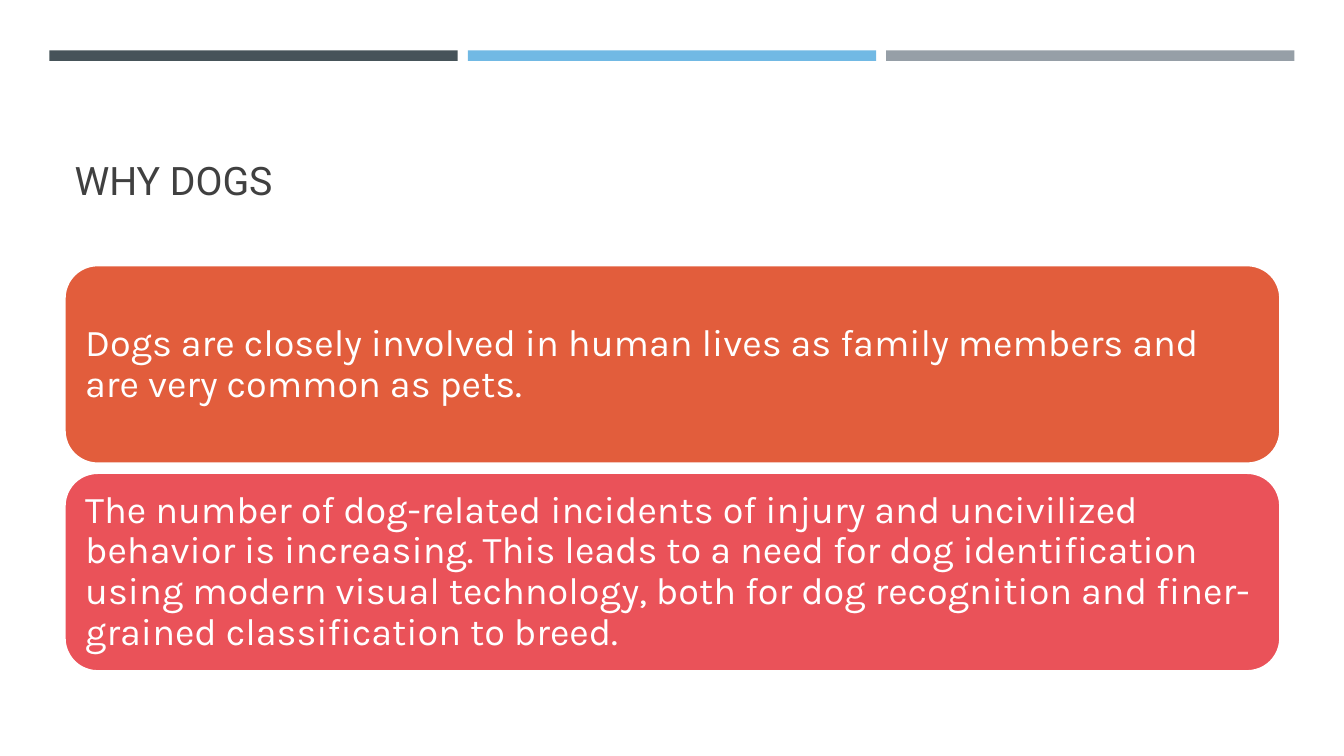
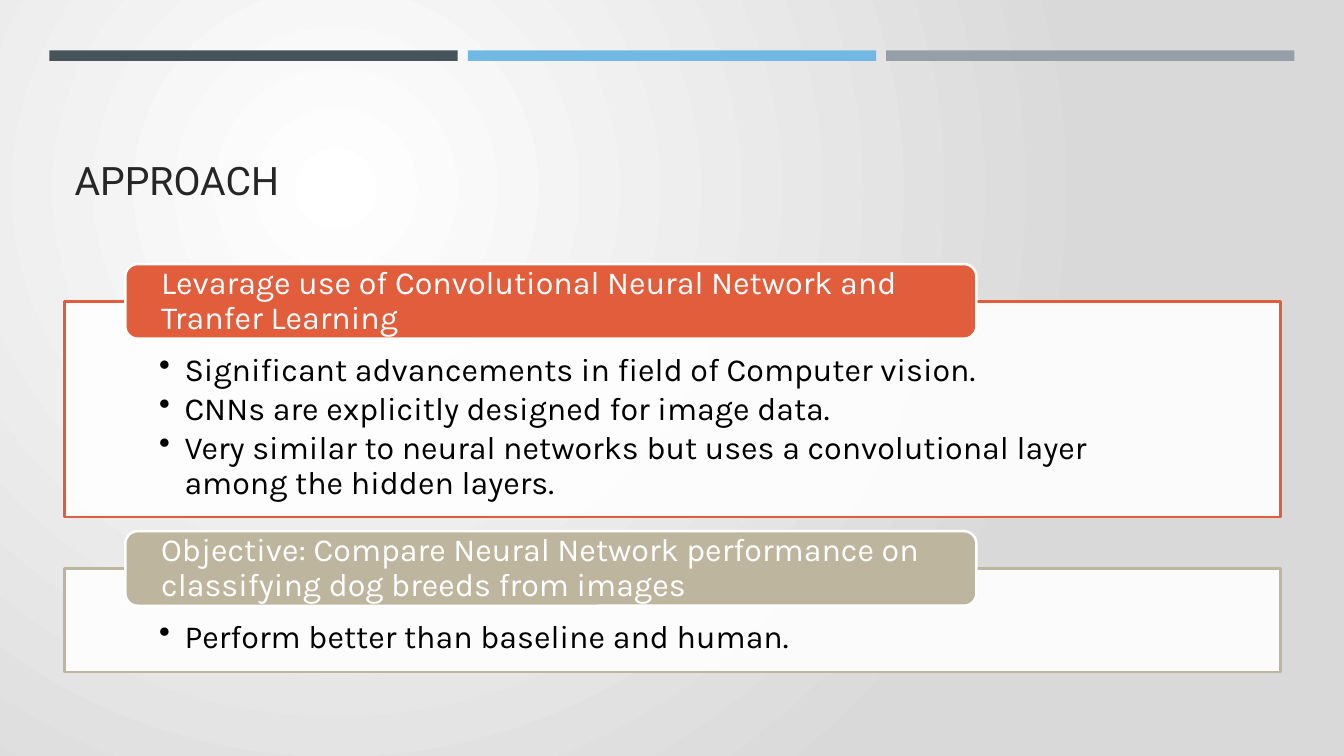
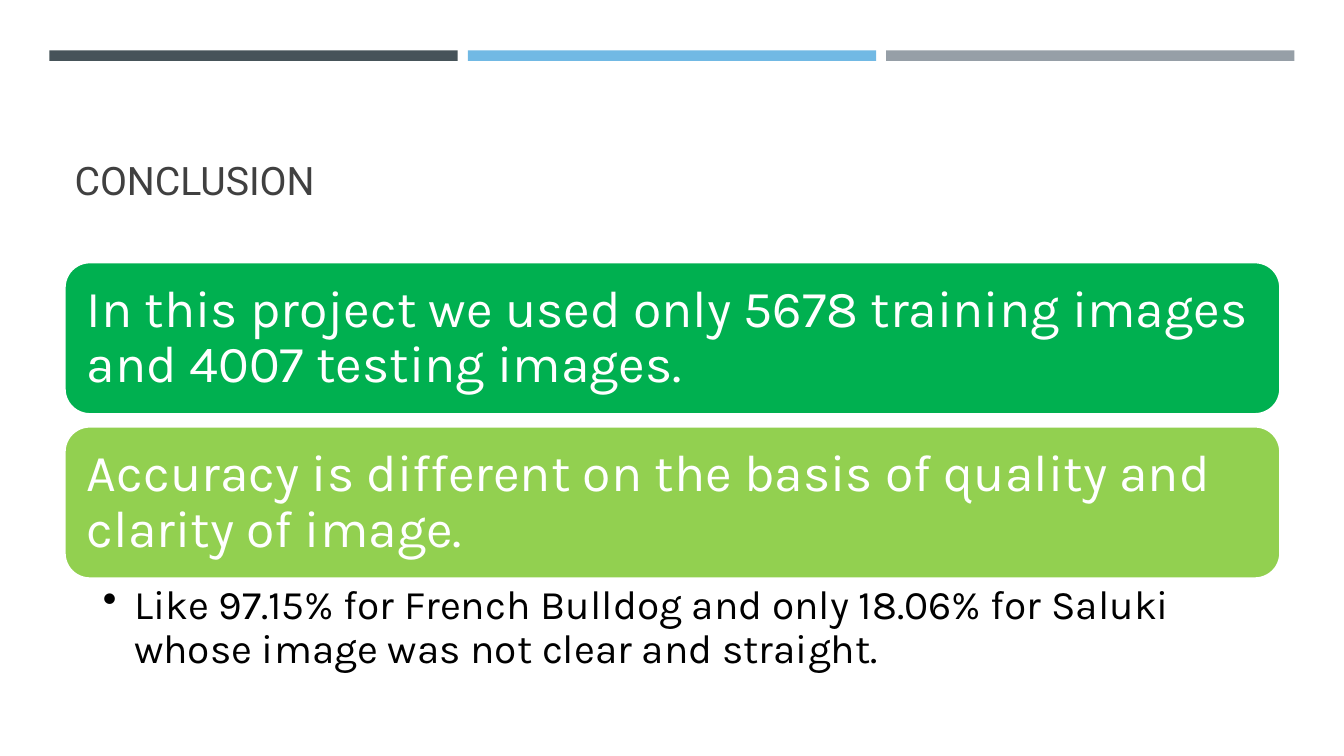
"""Builds three slides on recognising dog breeds."""
from dataclasses import dataclass

from lxml.etree import SubElement
from pptx import Presentation
from pptx.dml.color import RGBColor
from pptx.enum.shapes import MSO_SHAPE
from pptx.enum.text import MSO_ANCHOR, PP_ALIGN
from pptx.oxml.ns import qn
from pptx.util import Inches, Pt


@dataclass(frozen=True)
class Theme:
    heading_font: str = "Roboto"
    body_font: str = "Karla"
    bands: tuple = ("465359", "71B9E4", "969FA7")
    white: str = "FFFFFF"
    black: str = "000000"
    heading: str = "404040"
    heading_dark: str = "262626"
    shade: str = "D9D9D9"
    orange: str = "E25D3C"
    red: str = "EA5259"
    sand: str = "BDB59D"
    green: str = "00B050"
    lime: str = "92D050"
    heading_size: int = 28
    reason_size: int = 27
    approach_size: int = 23
    finding_size: int = 37
    note_size: int = 29
    outline: float = 1.75
    line_spacing: float = 0.9
    bullet_gap: int = 3
    margin: float = 4.8
    body_width: float = 90.47


class Deck:
    def __init__(self, theme):
        self.theme = theme
        self.deck = Presentation()
        self.deck.slide_width, self.deck.slide_height = Inches(13.33), Inches(7.5)
        self.slide = None

    def x(self, percent):
        return round(self.deck.slide_width * percent / 100)

    def y(self, percent):
        return round(self.deck.slide_height * percent / 100)

    def area(self, left, top, width, height):
        return self.x(left), self.y(top), self.x(width), self.y(height)

    def start(self, heading, color):
        theme = self.theme
        self.slide = self.deck.slides.add_slide(self.deck.slide_layouts[6])
        for column, band_color in enumerate(theme.bands):
            self.block(MSO_SHAPE.RECTANGLE, (3.68 + 31.13 * column, 6.67, 30.38, 1.4), band_color)
        title = self.slide.shapes.add_textbox(*self.area(theme.margin, 10.27, theme.body_width, 17.33))
        self.set_text(title, [heading], theme.heading_size, color, (0.75, 0.67, 0.75, 0.67),
                      MSO_ANCHOR.BOTTOM, font=theme.heading_font, spacing=1.0)

    def radial_background(self, center, edge):
        fill = self.slide.background.fill
        fill.gradient()
        for stop, position, color in zip(fill.gradient_stops, (0, 1), (center, edge)):
            stop.position = position
            stop.color.rgb = RGBColor.from_string(color)
        gradient = self.slide.element.find(".//" + qn("a:gradFill"))
        gradient.remove(gradient.find(qn("a:lin")))
        circle = SubElement(gradient, qn("a:path"), path="circle")
        SubElement(circle, qn("a:fillToRect"), l="50000", t="50000", r="100000", b="100000")

    def block(self, preset, place, color, line=None, opacity=None):
        block = self.slide.shapes.add_shape(preset, *self.area(*place))
        block.shadow.inherit = False
        block.fill.solid()
        block.fill.fore_color.rgb = RGBColor.from_string(color)
        if opacity:
            tint = block.element.spPr.find(qn("a:solidFill")).find(qn("a:srgbClr"))
            SubElement(tint, qn("a:alpha"), val=str(opacity * 1000))
        if line:
            block.line.color.rgb = RGBColor.from_string(line)
            block.line.width = Pt(self.theme.outline)
        else:
            block.line.fill.background()
        return block

    def set_text(self, holder, lines, size, color, insets, anchor, hang=None, font=None, spacing=None):
        frame = holder.text_frame
        frame.word_wrap = True
        frame.vertical_anchor = anchor
        left, top, right, bottom = insets
        frame.margin_left, frame.margin_right = self.x(left), self.x(right)
        frame.margin_top, frame.margin_bottom = self.y(top), self.y(bottom)
        for index, line in enumerate(lines):
            paragraph = frame.add_paragraph() if index else frame.paragraphs[0]
            paragraph.alignment = PP_ALIGN.LEFT
            paragraph.line_spacing = spacing or self.theme.line_spacing
            if hang:
                self.bullet(paragraph, hang)
            run = paragraph.add_run()
            run.text = line
            run.font.name = font or self.theme.body_font
            run.font.size = Pt(size)
            run.font.color.rgb = RGBColor.from_string(color)

    def bullet(self, paragraph, hang):
        paragraph.level = 1
        paragraph.space_after = Pt(self.theme.bullet_gap)
        properties = paragraph._p.get_or_add_pPr()
        properties.set("marL", str(self.x(hang)))
        properties.set("indent", str(-self.x(hang)))
        SubElement(properties, qn("a:buChar"), char="•")

    def cards(self, top, height, pitch, size, inset, entries):
        theme = self.theme
        insets = (inset, inset, inset, inset)
        for row, (text, color) in enumerate(entries):
            place = (theme.margin, top + pitch * row, theme.body_width, height)
            card = self.block(MSO_SHAPE.ROUNDED_RECTANGLE, place, color, theme.white)
            self.set_text(card, [text], size, theme.white, insets, MSO_ANCHOR.MIDDLE)

    def tabbed_panel(self, top, height, color, label, points):
        theme = self.theme
        tab_height = 9.87
        panel = self.block(MSO_SHAPE.RECTANGLE, (theme.margin, top, theme.body_width, height),
                           theme.white, color, opacity=90)
        self.set_text(panel, points, theme.approach_size, theme.black, (7.05, 6.93, 7.05, 2.4),
                      MSO_ANCHOR.TOP, hang=1.88)
        tab_place = (theme.margin + theme.body_width * 0.05, top - tab_height / 2,
                     theme.body_width * 0.7, tab_height)
        tab = self.block(MSO_SHAPE.ROUNDED_RECTANGLE, tab_place, color, theme.white)
        self.set_text(tab, [label], theme.approach_size, theme.white, (2.4, 0, 2.4, 0),
                      MSO_ANCHOR.MIDDLE)

    def note(self, top, height, text):
        theme = self.theme
        note = self.slide.shapes.add_textbox(*self.area(theme.margin, top, theme.body_width, height))
        self.set_text(note, [text], theme.note_size, theme.black, (2.85, 0.67, 2.18, 0.67),
                      MSO_ANCHOR.TOP, hang=2.33)


def main():
    theme = Theme()
    deck = Deck(theme)

    deck.start("WHY DOGS", theme.heading)
    deck.cards(35.07, 26.27, 27.47, theme.reason_size, 0.82, [
        ("Dogs are closely involved in human lives as family members and are very common as pets.",
         theme.orange),
        ("The number of dog-related incidents of injury and uncivilized behavior is increasing. "
         "This leads to a need for dog identification using modern visual technology, both for dog "
         "recognition and finer-grained classification to breed.", theme.red),
    ])

    deck.start("APPROACH", theme.heading_dark)
    deck.radial_background(theme.white, theme.shade)
    deck.tabbed_panel(39.87, 28.53, theme.orange,
                      "Levarage use of Convolutional Neural Network and Tranfer Learning", [
                          "Significant advancements in field of Computer vision.",
                          "CNNs are explicitly designed for image data.",
                          "Very similar to neural networks but uses a convolutional layer "
                          "among the hidden layers.",
                      ])
    deck.tabbed_panel(75.2, 13.73, theme.sand,
                      "Objective: Compare Neural Network performance on classifying dog breeds from images",
                      ["Perform better than baseline and human."])

    deck.start("CONCLUSION", theme.heading)
    deck.cards(34.67, 20.13, 21.73, theme.finding_size, 1.12, [
        ("In this project we used only 5678 training images and 4007 testing images.", theme.green),
        ("Accuracy is different on the basis of quality and clarity of image.", theme.lime),
    ])
    deck.note(76.67, 12.53, "Like 97.15% for French Bulldog and only 18.06% for Saluki "
                            "whose image was not clear and straight.")

    deck.deck.save("out.pptx")


if __name__ == "__main__":
    main()
